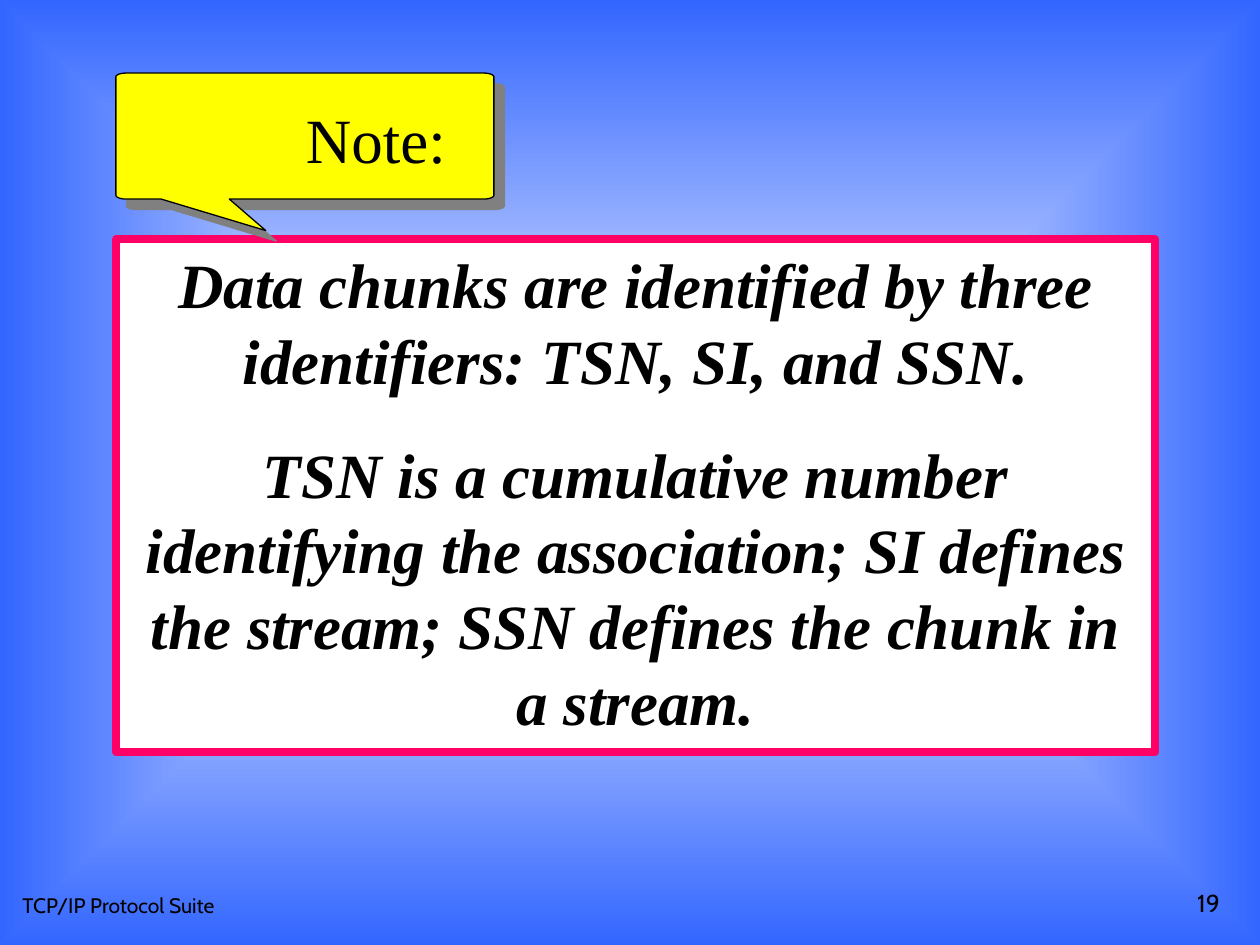
from dataclasses import dataclass
from math import cos, radians, sin

from lxml import etree
from pptx import Presentation
from pptx.dml.color import RGBColor
from pptx.enum.shapes import MSO_SHAPE
from pptx.enum.text import MSO_ANCHOR as Anchor
from pptx.enum.text import MSO_AUTO_SIZE as AutoSize
from pptx.enum.text import PP_ALIGN as Align
from pptx.oxml.ns import qn
from pptx.util import Inches, Pt


@dataclass(frozen=True)
class Theme:
    blue: str = "3366FF"
    white: str = "FFFFFF"
    black: str = "000000"
    pink: str = "FF0066"
    yellow: str = "FFFF00"
    shadow: str = "808080"
    footer_font: str = "Cabin"
    body_font: str = "Times New Roman"
    footer_size: int = 12
    number_size: int = 14
    body_size: int = 36


THEME = Theme()


def color(value):
    return RGBColor.from_string(value)


def set_background(slide):
    """White centre fading to blue along the slide's edges."""
    fill = slide.background.fill
    fill.gradient()
    for stop, value, position in zip(fill.gradient_stops, (THEME.white, THEME.blue), (0, 1)):
        stop.color.rgb = color(value)
        stop.position = position
    linear = next(slide.background._cSld.iter(qn("a:lin")))
    gradient = linear.getparent()
    gradient.remove(linear)
    center = etree.SubElement(gradient, qn("a:path"), path="shape")
    etree.SubElement(center, qn("a:fillToRect"), l="50000", t="50000", r="50000", b="50000")


def paint(shape, fill, line, width):
    shape.fill.solid()
    shape.fill.fore_color.rgb = color(fill)
    shape.line.color.rgb = color(line)
    shape.line.width = Pt(width)
    shape.shadow.inherit = False


def style_paragraph(paragraph, font_name, size, align=Align.LEFT, strong=False):
    paragraph.alignment = align
    for run in paragraph.runs:
        font = run.font
        font.name = font_name
        font.size = Pt(size)
        font.bold = font.italic = strong
        font.color.rgb = color(THEME.black)


def add_label(slide, text, box, font_name, size, align=Align.LEFT,
              anchor=Anchor.TOP, wrap=True):
    label = slide.shapes.add_textbox(*map(Inches, box))
    text_frame = label.text_frame
    text_frame.word_wrap = wrap
    text_frame.vertical_anchor = anchor
    text_frame.text = text
    style_paragraph(text_frame.paragraphs[0], font_name, size, align)


def add_statement(slide, statements, box):
    """Framed panel of centred bold italic paragraphs."""
    panel = slide.shapes.add_shape(MSO_SHAPE.RECTANGLE, *map(Inches, box))
    paint(panel, THEME.white, THEME.pink, 4.5)
    text_frame = panel.text_frame
    text_frame.word_wrap = True
    text_frame.auto_size = AutoSize.SHAPE_TO_FIT_TEXT
    text_frame.vertical_anchor = Anchor.TOP
    text_frame.text = "\n".join(statements)
    for index, paragraph in enumerate(text_frame.paragraphs):
        style_paragraph(paragraph, THEME.body_font, THEME.body_size, Align.CENTER, True)
        paragraph.space_after = Pt(10)
        if index:
            paragraph.space_before = Pt(12)


def corner(center_x, center_y, start):
    """Points of a quarter ellipse, clockwise from the start angle."""
    angles = [radians(start + step) for step in range(0, 91, 15)]
    return [(center_x + 0.08 * cos(a), center_y + 0.03 * sin(a)) for a in angles]


def add_callout(slide, left, top, width, height):
    """Rounded bubble with a pointer under its left part and a grey shadow."""
    right, bottom = left + width, top + height
    near_x, far_x = left + 0.08, right - 0.08
    near_y, far_y = top + 0.03, bottom - 0.03
    pointer = [(left + 0.9, bottom), (left + 1.19, bottom + 0.25), (left + 0.36, bottom)]
    outline = (corner(near_x, near_y, 180) + corner(far_x, near_y, 270)
               + corner(far_x, far_y, 0) + pointer + corner(near_x, far_y, 90))
    points = [(Inches(x), Inches(y)) for x, y in outline]
    builder = slide.shapes.build_freeform(*points[0])
    builder.add_line_segments(points[1:], close=True)
    callout = builder.convert_to_shape()
    paint(callout, THEME.yellow, THEME.black, 0.75)
    effects = callout._element.spPr.find(qn("a:effectLst"))
    shadow = etree.SubElement(effects, qn("a:outerShdw"), dist=str(Pt(8.5)),
                              dir=str(45 * 60000), algn="ctr", rotWithShape="0")
    etree.SubElement(shadow, qn("a:srgbClr"), val=THEME.shadow)


def main():
    presentation = Presentation()
    presentation.slide_width, presentation.slide_height = Inches(10), Inches(7.5)
    slide = presentation.slides.add_slide(presentation.slide_layouts[6])
    set_background(slide)

    # Footer and slide number
    add_label(slide, "TCP/IP Protocol Suite", (0.08, 6.83, 3.17, 0.5),
              THEME.footer_font, THEME.footer_size, anchor=Anchor.BOTTOM)
    add_label(slide, "19", (7.7, 6.83, 2.08, 0.5),
              THEME.footer_font, THEME.number_size, Align.RIGHT, Anchor.BOTTOM)

    # Main statement
    add_statement(slide, (
        "Data chunks are identified by three identifiers: TSN, SI, and SSN.",
        "TSN is a cumulative number identifying the association; "
        "SI defines the stream; SSN defines the chunk in a stream.",
    ), (0.92, 1.9, 8.25, 4.07))

    # Note callout
    add_callout(slide, 0.92, 0.58, 3, 1)
    add_label(slide, "Note:", (2.33, 0.75, 1.31, 0.7),
              THEME.body_font, THEME.body_size, wrap=False)

    presentation.save("out.pptx")


if __name__ == "__main__":
    main()
